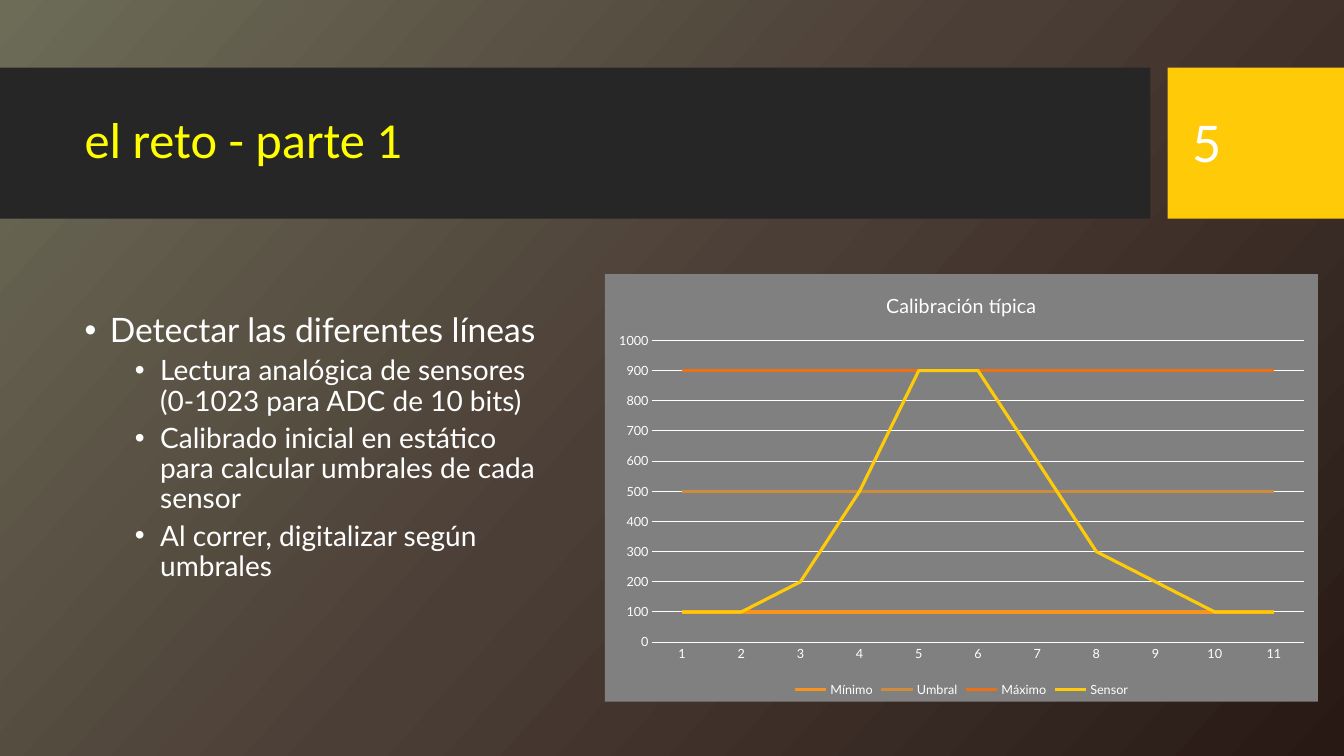
from copy import deepcopy

from lxml import etree
from pptx import Presentation
from pptx.chart.data import CategoryChartData
from pptx.dml.color import RGBColor
from pptx.enum.chart import XL_CHART_TYPE, XL_LEGEND_POSITION, XL_MARKER_STYLE, XL_TICK_MARK
from pptx.enum.shapes import MSO_SHAPE
from pptx.enum.text import MSO_ANCHOR
from pptx.oxml.ns import qn
from pptx.util import Inches, Pt

LINE = XL_CHART_TYPE.LINE
BOTTOM = XL_LEGEND_POSITION.BOTTOM
NO_MARKER = XL_MARKER_STYLE.NONE
NO_TICK = XL_TICK_MARK.NONE
RECTANGLE = MSO_SHAPE.RECTANGLE
MIDDLE, TOP = MSO_ANCHOR.MIDDLE, MSO_ANCHOR.TOP

WIDTH, HEIGHT = 13.33, 7.5
WHITE = "FFFFFF"
GRADIENT = [(0, "6C6C57"), (0.5, "4B3E36"), (1, "281915")]
GRADIENT_ANGLE = 42
BAND_TOP, BAND_HEIGHT = 0.67, 1.5
BANDS = [(0, 11.41, "262626"), (11.58, WIDTH - 11.58, "FFCA08")]
TITLE = "el reto - parte 1"
NUMBER = "5"
BULLETS = [
    (0, "Detectar las diferentes líneas"),
    (1, "Lectura analógica de sensores (0-1023 para ADC de 10 bits)"),
    (1, "Calibrado inicial en estático para calcular umbrales de cada sensor"),
    (1, "Al correr, digitalizar según umbrales"),
]
LEVELS = [(0.25, 24), (0.75, 20)]
HANGING = 0.25
CHART_TITLE = "Calibración típica"
SAMPLES = 11
SERIES = [
    ("Mínimo", [100] * SAMPLES, "F8931D"),
    ("Umbral", [500] * SAMPLES, "CE8D3E"),
    ("Máximo", [900] * SAMPLES, "EC7016"),
    ("Sensor", [100, 100, 200, 500, 900, 900, 600, 300, 200, 100, 100], "FFCA08"),
]


def color(value):
    return RGBColor.from_string(value)


def style(font, size, value=WHITE, name="Lato"):
    font.size, font.name = Pt(size), name
    font.color.rgb = color(value)


def paint_background(page):
    fill = page.background.fill
    fill.gradient()
    fill.gradient_angle = 360 - GRADIENT_ANGLE
    stop_list = page.element.find(".//" + qn("a:gsLst"))
    stop_list.append(deepcopy(stop_list[0]))
    for stop, (position, value) in zip(fill.gradient_stops, GRADIENT):
        stop.position = position
        stop.color.rgb = color(value)


def add_band(page, left, width, value):
    band = page.shapes.add_shape(
        RECTANGLE, Inches(left), Inches(BAND_TOP), Inches(width), Inches(BAND_HEIGHT))
    band.shadow.inherit = False
    band.fill.solid()
    band.fill.fore_color.rgb = color(value)
    band.line.fill.background()


def add_text_frame(page, left, top, width, height, anchor):
    box = page.shapes.add_textbox(Inches(left), Inches(top), Inches(width), Inches(height))
    frame = box.text_frame
    frame.word_wrap = True
    frame.vertical_anchor = anchor
    return frame


def add_heading(page, text, area, **look):
    para = add_text_frame(page, *area, MIDDLE).paragraphs[0]
    para.text = text
    style(para.font, 36, **look)
    return para


def add_bullets(page):
    frame = add_text_frame(page, 0.74, 2.56, 4.88, 3.94, TOP)
    frame.margin_top = Inches(0.55)
    for index, (level, text) in enumerate(BULLETS):
        para = frame.paragraphs[0] if index == 0 else frame.add_paragraph()
        indent, size = LEVELS[level]
        para.text = text
        para.level = level
        para.line_spacing = 0.9
        para.space_before = Pt(5 if index else 0)
        properties = para._p.get_or_add_pPr()
        properties.set("marL", str(Inches(indent)))
        properties.set("indent", str(-Inches(HANGING)))
        etree.SubElement(properties, qn("a:buFont")).set("typeface", "Arial")
        etree.SubElement(properties, qn("a:buChar")).set("char", "•")
        style(para.font, size)


def white_line(line):
    line.color.rgb = color(WHITE)
    line.width = Pt(0.75)


def fill_chart_area(chart, value):
    space = chart.element
    properties = etree.Element(qn("c:spPr"))
    solid = etree.SubElement(properties, qn("a:solidFill"))
    etree.SubElement(solid, qn("a:srgbClr")).set("val", value)
    outline = etree.SubElement(properties, qn("a:ln"))
    etree.SubElement(outline, qn("a:noFill"))
    space.find(qn("c:chart")).addnext(properties)


def add_calibration_chart(page):
    data = CategoryChartData()
    data.categories = [str(sample + 1) for sample in range(SAMPLES)]
    for name, values, _ in SERIES:
        data.add_series(name, values)
    chart = page.shapes.add_chart(
        LINE, Inches(6), Inches(2.72), Inches(7.07), Inches(4.24), data).chart
    style(chart.font, 10)
    fill_chart_area(chart, "808080")
    chart.has_title = True
    heading = chart.chart_title.text_frame
    heading.text = CHART_TITLE
    style(heading.paragraphs[0].font, 14)
    heading.paragraphs[0].font.bold = False
    chart.chart_title.include_in_layout = False
    chart.has_legend = True
    chart.legend.position = BOTTOM
    chart.legend.include_in_layout = False
    style(chart.legend.font, 9)
    for axis in (chart.category_axis, chart.value_axis):
        axis.major_tick_mark = axis.minor_tick_mark = NO_TICK
        style(axis.tick_labels.font, 9)
    white_line(chart.category_axis.format.line)
    scale = chart.value_axis
    scale.minimum_scale, scale.maximum_scale, scale.major_unit = 0, 1000, 100
    scale.format.line.fill.background()
    white_line(scale.major_gridlines.format.line)
    chart.plots[0].vary_by_categories = False
    for series, (_, _, value) in zip(chart.plots[0].series, SERIES):
        series.smooth = False
        series.marker.style = NO_MARKER
        series.format.line.color.rgb = color(value)
        series.format.line.width = Pt(2.25)


def main():
    """Build the slide on sensor calibration."""
    deck = Presentation()
    deck.slide_width, deck.slide_height = Inches(WIDTH), Inches(HEIGHT)
    page = deck.slides.add_slide(deck.slide_layouts[6])
    paint_background(page)
    for band in BANDS:
        add_band(page, *band)
    title = add_heading(page, TITLE, (0.74, 0.82, 10.51, 1.18), value="FFFF00", name="Calibri")
    title.line_spacing = 0.9
    add_bullets(page)
    add_heading(page, NUMBER, (11.73, 0.82, 1.26, 1.19))
    add_calibration_chart(page)
    deck.save("out.pptx")


if __name__ == "__main__":
    main()
